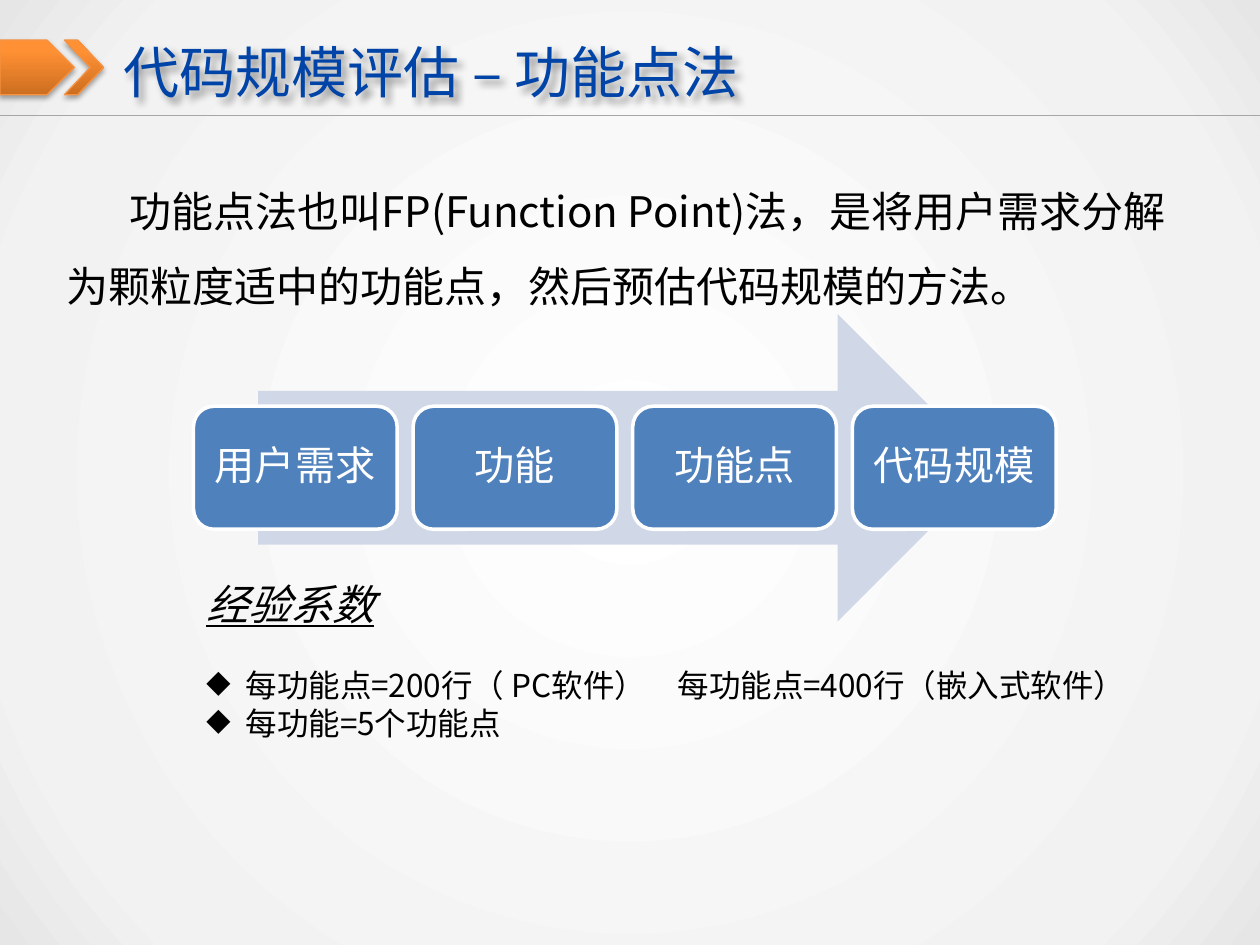
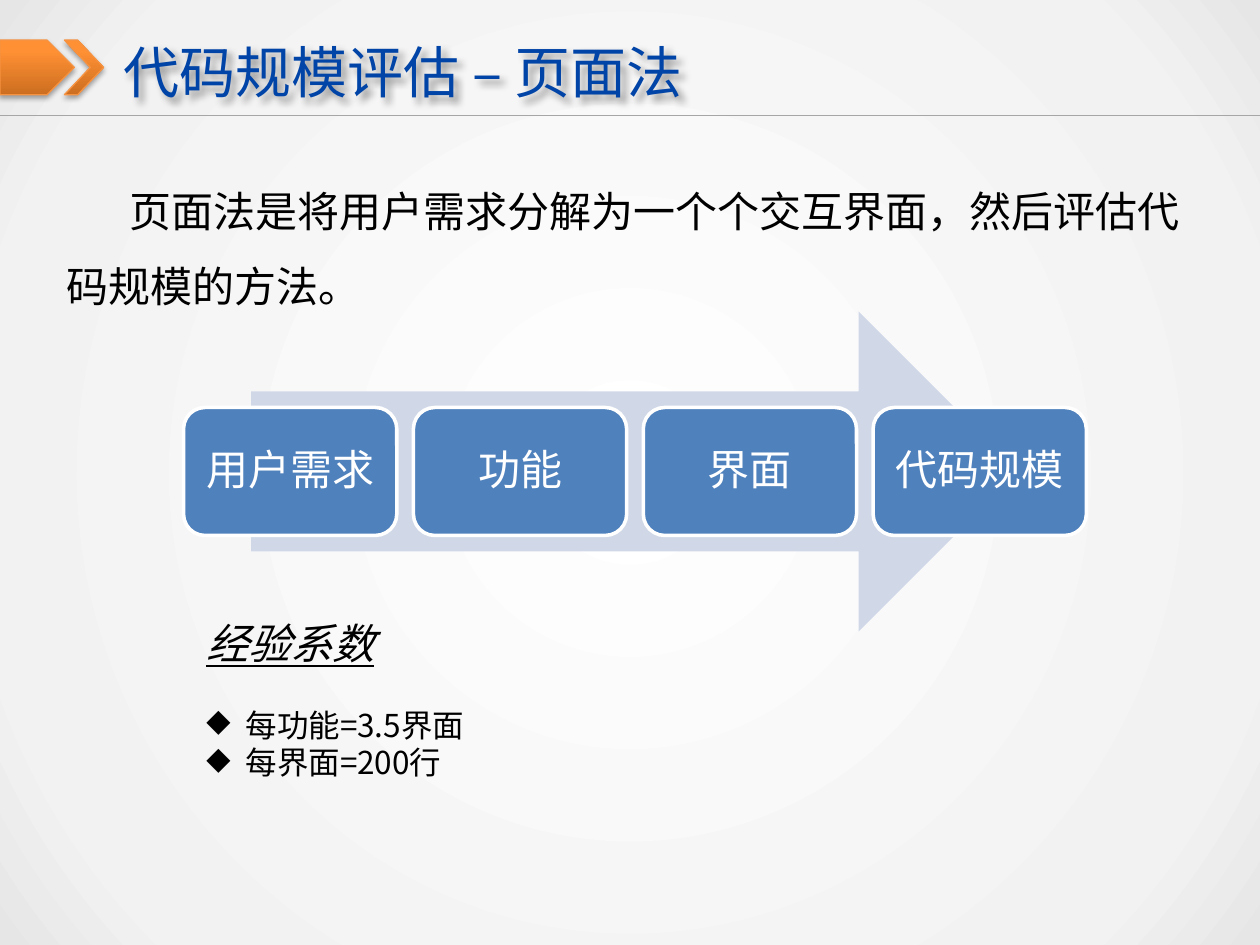
from lxml.etree import SubElement as Sub
from pptx import Presentation
from pptx.dml.color import RGBColor as RGB
from pptx.enum.shapes import MSO_CONNECTOR as LINE, MSO_SHAPE as FORM
from pptx.enum.text import MSO_ANCHOR as ANCHOR, PP_ALIGN as ALIGN
from pptx.oxml import parse_xml as make
from pptx.oxml.ns import nsdecls, qn
from pptx.util import Cm, Pt

BLACK = RGB(0, 0, 0)
WHITE = RGB(255, 255, 255)
NAVY = RGB(0x01, 0x44, 0xA7)
BLUE = RGB(0x4F, 0x81, 0xBD)
PALE = RGB(0xD0, 0xD8, 0xE8)
GREY = RGB(0xA6, 0xA6, 0xA6)
ORANGE = RGB(0xF6, 0x92, 0x40)
PAPER = ((0, "FFFFFF"), (82, "F2F2F2"), (100, "E6E6E6"))
FLAME = ((0, "CC6E20"), (80, "FF9034"), (100, "FF9136"))
SANS = "Noto Sans CJK SC"
LATIN = "Calibri"


def blend(stops, kind):
    marks = "".join(
        f'<a:gs pos="{pos * 1000}"><a:srgbClr val="{tone}"/></a:gs>'
        for pos, tone in stops)
    return make(f'<a:gradFill {nsdecls("a")} rotWithShape="1">'
                f'<a:gsLst>{marks}</a:gsLst>{kind}</a:gradFill>')


def backdrop(slide):
    kind = ('<a:path path="circle"><a:fillToRect l="50000" t="50000" '
            'r="50000" b="50000"/></a:path>')
    slide.background.fill.solid()
    solid = slide.element.find(".//" + qn("p:bgPr")).find(qn("a:solidFill"))
    solid.getparent().replace(solid, blend(PAPER, kind))


def shade(shape, blur, dist, angle, alpha):
    shape.shadow.inherit = False
    glow = shape.element.spPr.find(qn("a:effectLst"))
    drop = Sub(glow, qn("a:outerShdw"), blurRad=str(Pt(blur)),
               dist=str(Pt(dist)), dir=str(angle * 60000), rotWithShape="0")
    tone = Sub(drop, qn("a:srgbClr"), val="000000")
    Sub(tone, qn("a:alpha"), val=str(alpha * 1000))


def write(frame, text, size=24, color=BLACK, font=SANS, slant=False,
          align=ALIGN.LEFT, space=None, before=0, margin=0, indent=0,
          bullet=None, more=False):
    para = frame.add_paragraph() if more else frame.paragraphs[0]
    para.alignment = align
    para.space_before = Pt(before)
    if space:
        para.line_spacing = space
    props = para._p.get_or_add_pPr()
    props.set("marL", str(Cm(margin)))
    props.set("indent", str(Cm(indent)))
    if bullet:
        Sub(props, qn("a:buChar"), char=bullet)
    run = para.add_run()
    run.text = text
    face = run.font
    face.size, face.name = Pt(size), font
    face.color.rgb = color
    face.italic = face.underline = slant
    Sub(face._element, qn("a:ea"), typeface=font)


def textbox(slide, left, top, wide, high):
    box = slide.shapes.add_textbox(Cm(left), Cm(top), Cm(wide), Cm(high))
    box.text_frame.word_wrap = True
    return box


def block(slide, form, left, top, wide, high, fill, line=None, weight=1):
    shape = slide.shapes.add_shape(
        form, Cm(left), Cm(top), Cm(wide), Cm(high))
    shape.shadow.inherit = False
    shape.fill.solid()
    shape.fill.fore_color.rgb = fill
    if line is None:
        shape.line.fill.background()
    else:
        shape.line.color.rgb = line
        shape.line.width = Pt(weight)
    return shape


def badge(slide, form, left, wide):
    shape = block(slide, form, left, 0.81, wide, 1.1, ORANGE, ORANGE, 0.75)
    solid = shape.element.spPr.find(qn("a:solidFill"))
    solid.getparent().replace(
        solid, blend(FLAME, '<a:lin ang="16200000" scaled="0"/>'))
    shade(shape, 3.1, 1.8, 90, 35)
    return shape


def header(slide, title):
    box = textbox(slide, 2.49, 0.53, 22.4, 1.8)
    frame = box.text_frame
    frame.margin_left = frame.margin_right = 0
    frame.vertical_anchor = ANCHOR.MIDDLE
    write(frame, title, size=32, color=NAVY)
    shade(box, 4, 3, 45, 40)
    badge(slide, FORM.PENTAGON, 0, 1.5)
    badge(slide, FORM.CHEVRON, 1.3, 0.79).adjustments[0] = 0.66
    rule = slide.shapes.add_connector(
        LINE.STRAIGHT, 0, Cm(2.33), Cm(25.4), Cm(2.33))
    rule.line.color.rgb = GREY
    rule.line.width = Pt(0.75)
    Sub(rule.element.spPr, qn("a:effectLst"))


def intro(slide, text):
    box = textbox(slide, 1.09, 3.1, 23.2, 3.32)
    write(box.text_frame, text, space=1.5, indent=1.27)


def flow(slide, steps, left, top, wide, high, size):
    block(slide, FORM.RIGHT_ARROW, left + 0.075 * wide, top,
          0.85 * wide, high, PALE)
    ratio = 0.078
    count = len(steps)
    width = wide / (count + (count - 1) * ratio)
    for i, step in enumerate(steps):
        card = block(slide, FORM.ROUNDED_RECTANGLE,
                     left + i * width * (1 + ratio), top + 0.3 * high,
                     width, 0.4 * high, BLUE, WHITE, 2)
        frame = card.text_frame
        frame.word_wrap = True
        frame.vertical_anchor = ANCHOR.MIDDLE
        frame.margin_left = frame.margin_right = Cm(0.25)
        write(frame, step, size=size, color=WHITE, font=LATIN,
              align=ALIGN.CENTER, space=0.9)


def factors(slide, top, wide, items):
    frame = textbox(slide, 3.91, top, wide, 3.58).text_frame
    write(frame, "经验系数", slant=True)
    for i, item in enumerate(items):
        write(frame, item, size=18, before=0 if i else 21.6, margin=0.79,
              indent=-0.79, bullet="◆", more=True)


def main():
    deck = Presentation()
    deck.slide_width, deck.slide_height = Cm(25.4), Cm(19.05)
    pages = (
        ("代码规模评估 – 功能点法",
         "功能点法也叫FP(Function Point)法，是将用户需求分解为颗粒度适中的功能点，"
         "然后预估代码规模的方法。",
         ("用户需求", "功能", "功能点", "代码规模"),
         (3.9, 6.33, 17.39, 6.2, 23),
         (11.53, 20),
         ("每功能点=200行（ PC软件）　每功能点=400行（嵌入式软件）",
          "每功能=5个功能点")),
        ("代码规模评估 – 页面法",
         "页面法是将用户需求分解为一个个交互界面，然后评估代码规模的方法。",
         ("用户需求", "功能", "界面", "代码规模"),
         (3.7, 6.28, 18.2, 6.45, 24),
         (12.32, 19),
         ("每功能=3.5界面", "每界面=200行")),
    )
    for title, text, steps, place, spot, items in pages:
        slide = deck.slides.add_slide(deck.slide_layouts[6])
        backdrop(slide)
        header(slide, title)
        intro(slide, text)
        flow(slide, steps, *place)
        factors(slide, *spot, items)
    deck.save("out.pptx")


if __name__ == "__main__":
    main()
